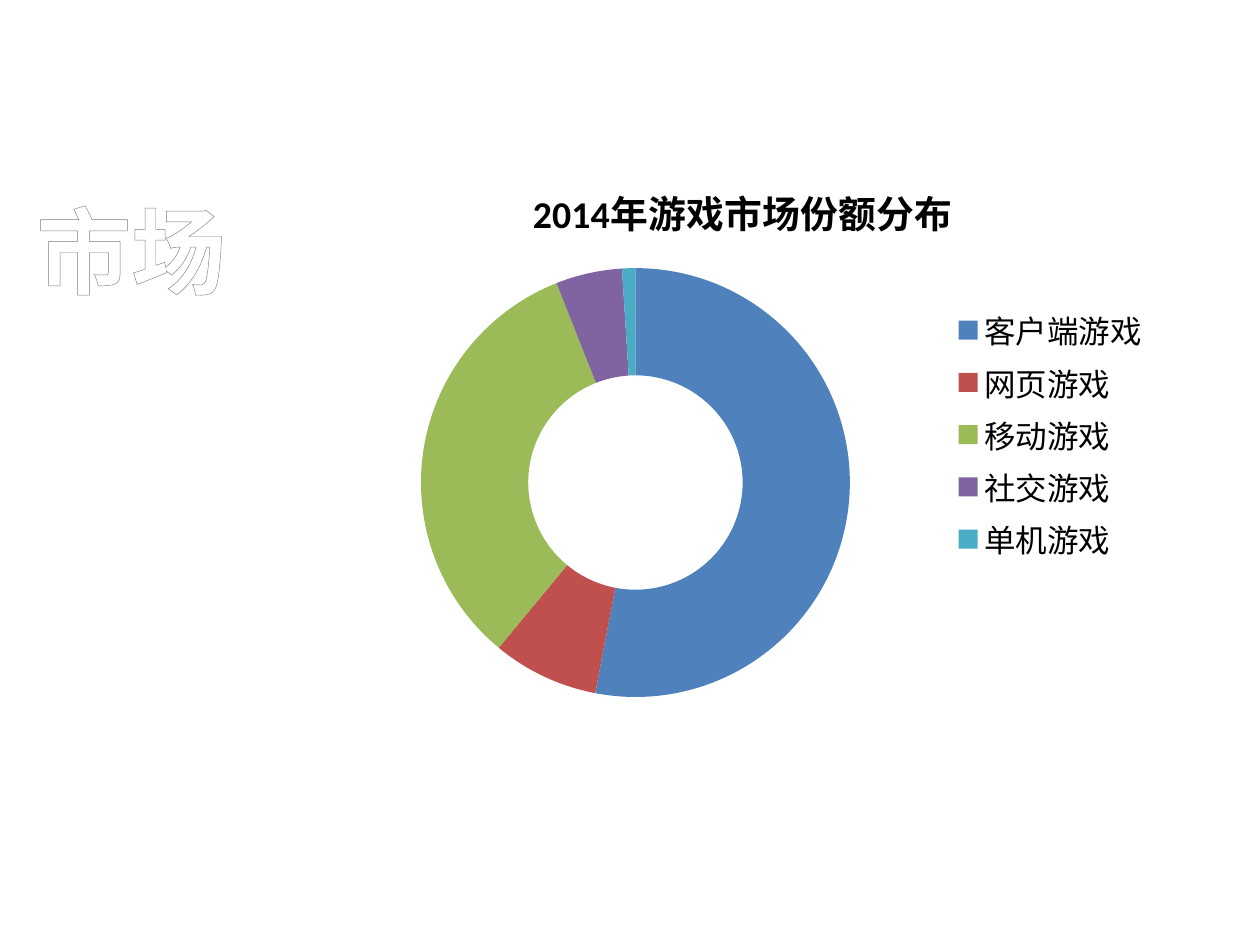
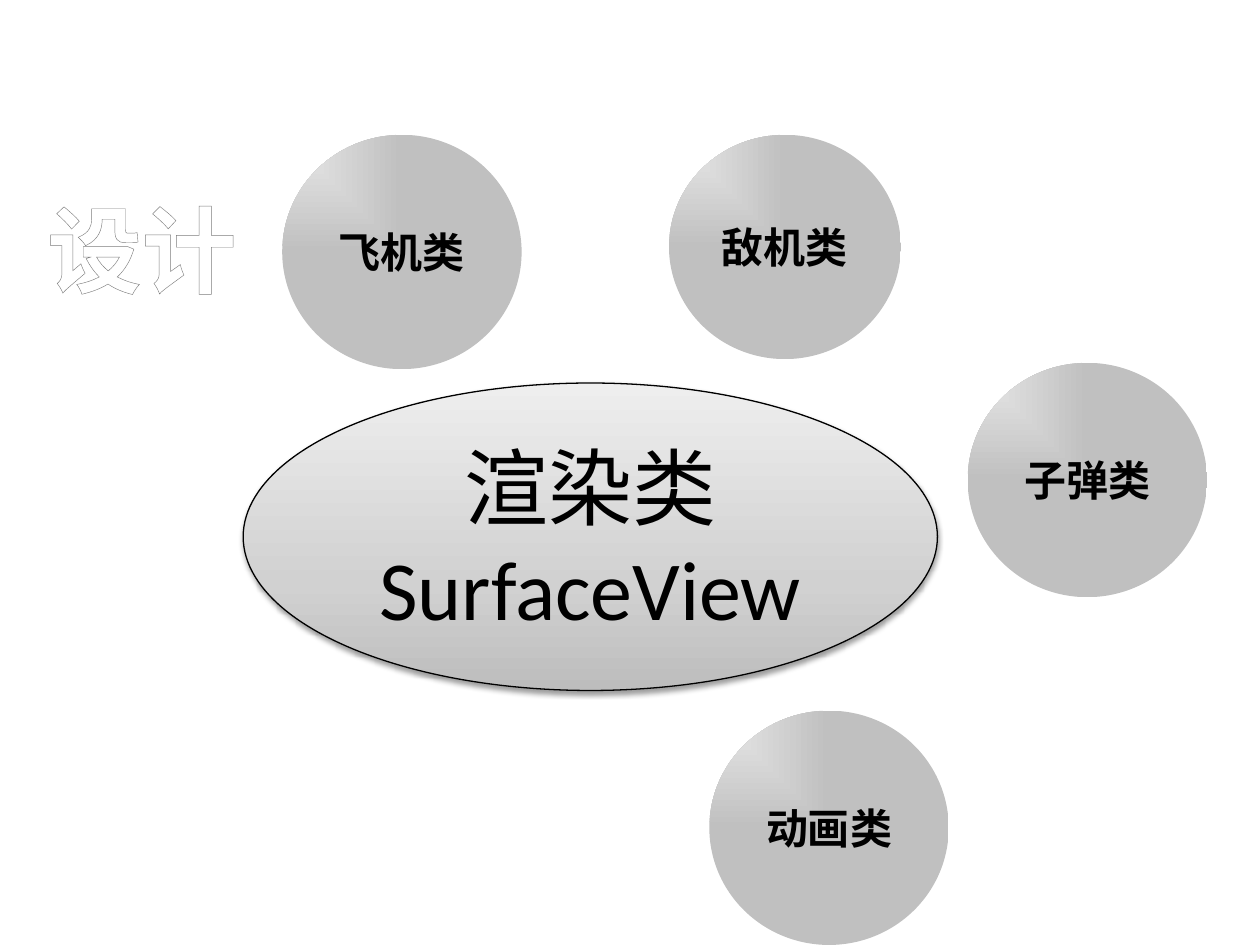
import pptx
import pptx.util
import pptx.oxml
import pptx.chart.data
import pptx.dml.color
import pptx.enum.chart
import pptx.enum.shapes
import pptx.enum.text
from pptx.util import Inches

NS = 'xmlns:a="http://schemas.openxmlformats.org/drawingml/2006/main"'
FONT = "Calibri"
BLACK = "000000"
LINEAR = '<a:lin ang="{}" scaled="0"/>'
CORNER = '<a:path path="rect"><a:fillToRect r="100000" b="100000"/></a:path>'
SHEEN = [(0, "FFFFFF"), (9, "FFFFFF"), (50, "7F7F7F"), (79, "FFFFFF"), (100, "FFFFFF")]
DISC = [(0, "EAEAEA"), (100, "C0C0C0")]
CORE = [(0, "BDBDBD"), (35, "D1D1D1"), (100, "EEEEEE")]


def color(code):
    return pptx.dml.color.RGBColor.from_string(code)


def node(xml):
    return pptx.oxml.parse_xml(xml.replace(">", f" {NS}>", 1))


def blend(stops, form):
    marks = "".join(
        f'<a:gs pos="{pos * 1000}"><a:srgbClr val="{code}"/></a:gs>' for pos, code in stops
    )
    return node(f"<a:gradFill><a:gsLst>{marks}</a:gsLst>{form}</a:gradFill>")


class Deck:
    def __init__(self):
        self.show = pptx.Presentation()
        self.show.slide_width = Inches(10)
        self.show.slide_height = Inches(7.5)
        self.slide = None

    def page(self):
        self.slide = self.show.slides.add_slide(self.show.slide_layouts[6])

    def style(self, font, size, bold=False):
        font.name = FONT
        font.size = pptx.util.Pt(size)
        font.bold = bold
        font.color.rgb = color(BLACK)

    def label(self, frame, text, size, bold):
        line = frame.paragraphs[0]
        line.alignment = pptx.enum.text.PP_ALIGN.CENTER
        self.style(line.font, size, bold)
        run = line.add_run()
        run.text = text
        return run

    def title(self, text, top):
        box = self.slide.shapes.add_textbox(Inches(-0.43), Inches(top), Inches(3.11), Inches(1.01))
        box.text_frame.word_wrap = True
        box.text_frame.auto_size = pptx.enum.text.MSO_AUTO_SIZE.SHAPE_TO_FIT_TEXT
        run = self.label(box.text_frame, text, 54, True)
        edge = node(
            '<a:ln w="10541"><a:solidFill><a:srgbClr val="7D7D7D"/></a:solidFill></a:ln>'
        )
        props = run.font._element
        props.append(edge)
        props.append(blend(SHEEN, LINEAR.format(5400000)))

    def oval(self, text, area, fill, size, bold=False, wrap=False):
        kind = pptx.enum.shapes.MSO_SHAPE.OVAL
        shape = self.slide.shapes.add_shape(kind, *map(Inches, area))
        shape.shadow.inherit = False
        shape.line.fill.background()
        props = shape._element.spPr
        props.insert(2, fill)
        frame = shape.text_frame
        frame.word_wrap = wrap
        frame.vertical_anchor = pptx.enum.text.MSO_ANCHOR.MIDDLE
        self.label(frame, text, size, bold)
        return shape

    def disc(self, text, area):
        self.oval(text, area, blend(DISC, CORNER), 24, bold=True)

    def core(self, text, area):
        shape = self.oval(text, area, blend(CORE, LINEAR.format(16200000)), 48, wrap=True)
        shape.line.color.rgb = color(BLACK)
        shape.line.width = pptx.util.Pt(0.75)
        shade = node(
            '<a:outerShdw blurRad="40000" dist="20000" dir="5400000" rotWithShape="0">'
            f'<a:srgbClr val="{BLACK}"><a:alpha val="38000"/></a:srgbClr></a:outerShdw>'
        )
        shape._element.spPr[-1].append(shade)

    def ring(self, name, parts, area):
        data = pptx.chart.data.CategoryChartData()
        data.categories = [label for label, share, code in parts]
        data.add_series(name, [share for label, share, code in parts])
        kind = pptx.enum.chart.XL_CHART_TYPE.DOUGHNUT
        chart = self.slide.shapes.add_chart(kind, *map(Inches, area), data).chart
        self.style(chart.font, 18)
        chart.has_title = True
        head = chart.chart_title.text_frame
        head.text = name
        self.style(head.paragraphs[0].font, 21.6, True)
        chart.has_legend = True
        chart.legend.position = pptx.enum.chart.XL_LEGEND_POSITION.RIGHT
        chart.legend.include_in_layout = False
        plot = chart.plots[0]
        plot.vary_by_categories = True
        for index, (label, share, code) in enumerate(parts):
            fill = plot.series[0].points[index].format.fill
            fill.solid()
            fill.fore_color.rgb = color(code)


def main():
    deck = Deck()

    deck.page()
    shares = [
        ("客户端游戏", 53, "4F81BD"),
        ("网页游戏", 8, "C0504D"),
        ("移动游戏", 33, "9BBB59"),
        ("社交游戏", 5, "8064A2"),
        ("单机游戏", 1, "4BACC6"),
    ]
    deck.ring("2014年游戏市场份额分布", shares, (2.56, 1.23, 6.67, 4.44))
    deck.title("市场 ", 1.48)

    deck.page()
    deck.title("设计", 1.47)
    deck.disc("敌机类", (5.31, 1.07, 1.84, 1.78))
    for text, left, top in [("飞机类", 2.24, 1.07), ("子弹类", 7.68, 2.88), ("动画类", 5.63, 5.64)]:
        deck.disc(text, (left, top, 1.9, 1.86))
    deck.core("渲染类SurfaceView", (1.93, 3.04, 5.51, 2.44))

    deck.show.save("out.pptx")


if __name__ == "__main__":
    main()
